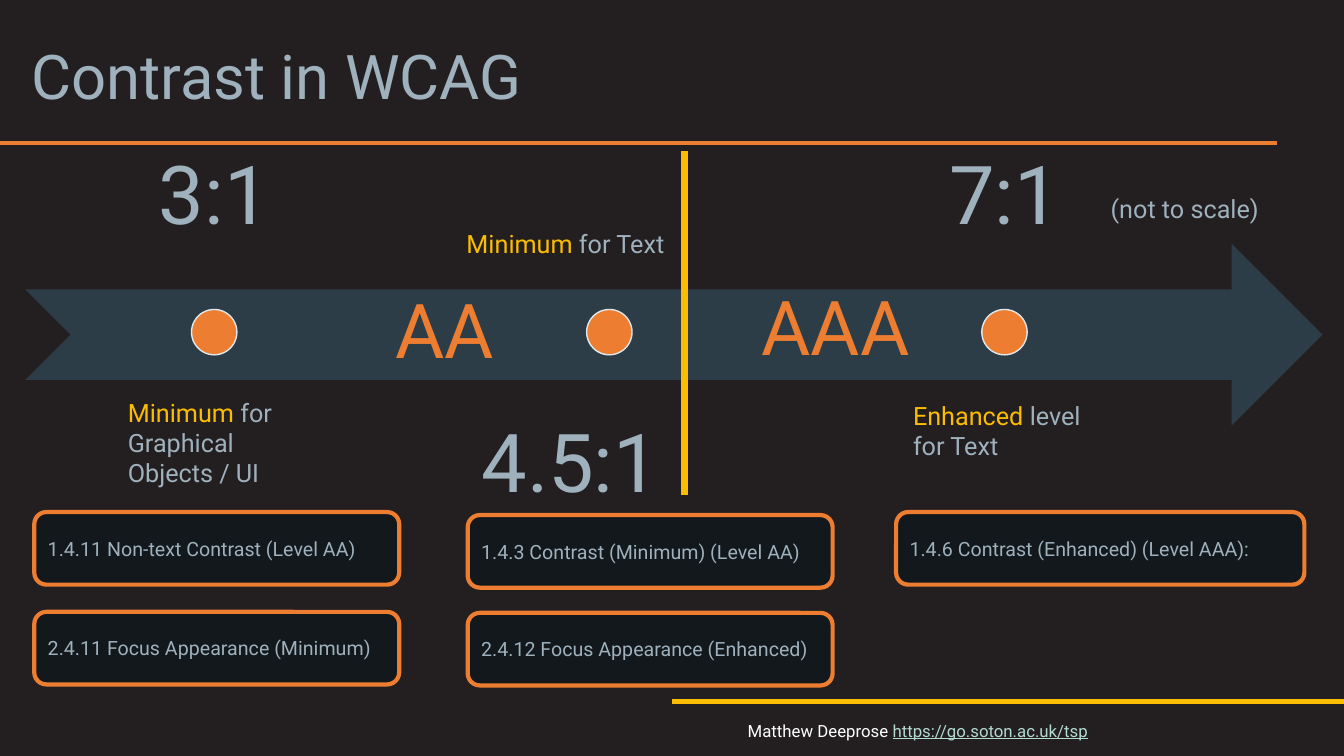
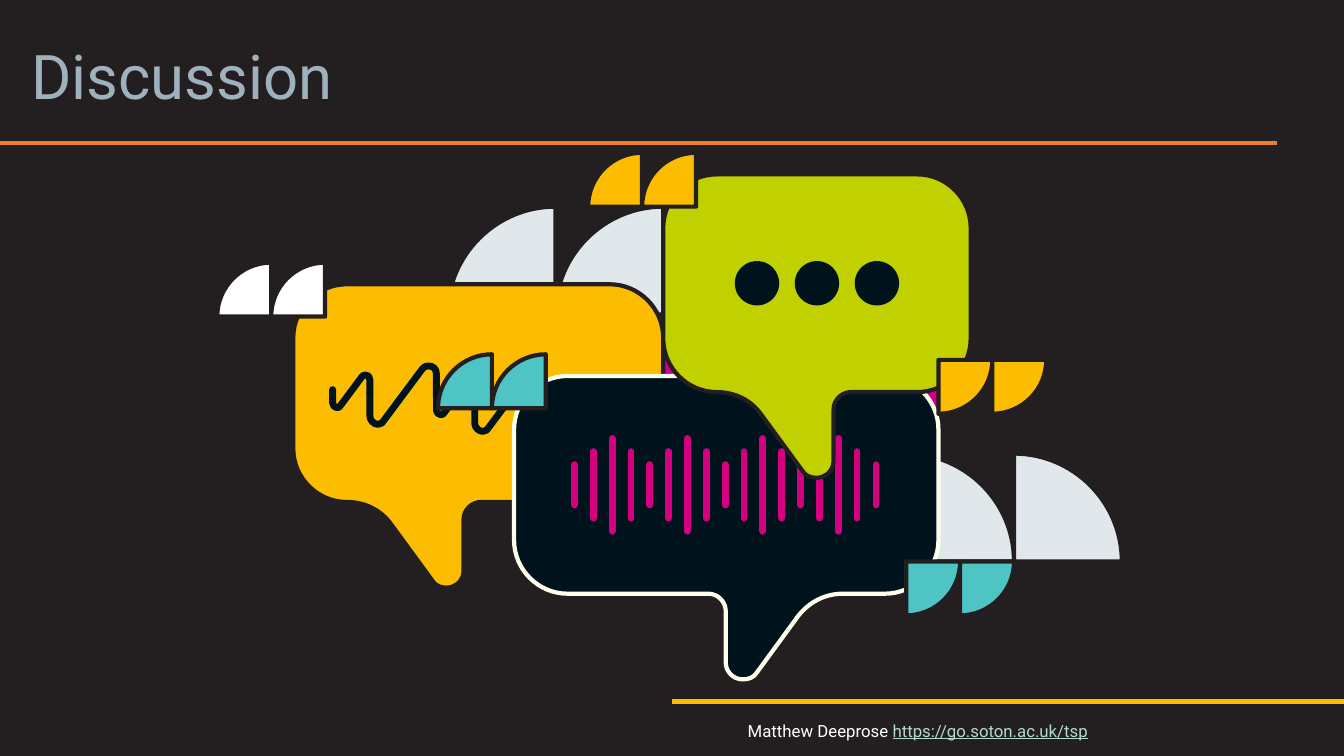
"""Build two dark slides on contrast levels and discussion."""
from itertools import cycle

from pptx import Presentation
from pptx.dml.color import RGBColor
from pptx.enum.shapes import MSO_CONNECTOR, MSO_SHAPE
from pptx.enum.text import MSO_ANCHOR, PP_ALIGN
from pptx.oxml.ns import qn
from pptx.util import Inches, Pt

STRAIGHT = MSO_CONNECTOR.STRAIGHT
OVAL, RECTANGLE = MSO_SHAPE.OVAL, MSO_SHAPE.RECTANGLE
CARD, ARROW = MSO_SHAPE.ROUNDED_RECTANGLE, MSO_SHAPE.NOTCHED_RIGHT_ARROW
TOP, MIDDLE, BOTTOM = MSO_ANCHOR.TOP, MSO_ANCHOR.MIDDLE, MSO_ANCHOR.BOTTOM
LEFT, CENTER, RIGHT = PP_ALIGN.LEFT, PP_ALIGN.CENTER, PP_ALIGN.RIGHT

FONT = "Roboto"
COLORS = {
    "background": "231F20", "orange": "ED7D31", "amber": "FCBC00",
    "mist": "9FB1BD", "slate": "2D3D47", "card": "12181C", "pale": "E1E8EC",
    "white": "FFFFFF", "link": "B3DBD2", "navy": "00131D", "ivory": "FFFFEE",
    "magenta": "D5007F", "lime": "C1D100", "teal": "4FC4C5", "indigo": "191F5A",
}

FOOTER = [("Matthew Deeprose ", "white"), ("https://go.soton.ac.uk/tsp", "link")]

RATIOS = [
    ("3:1", (0.26, 1.05, 3.73, 1.8), CENTER, BOTTOM),
    ("4.5:1", (3.9, 3.74, 3.09, 1.8), RIGHT, TOP),
    ("7:1", (8.1, 1.05, 3.73, 1.8), CENTER, BOTTOM),
]
LEVELS = [("AA", (3.81, 2.76, 1.21, 1.01)), ("AAA", (7.43, 2.73, 1.72, 1.01))]
CAPTIONS = [
    ("Minimum ", "for Graphical Objects / UI", (1.17, 3.89, 1.96, 1.01)),
    ("Minimum ", "for Text", (4.53, 2.22, 2.27, 0.4)),
    ("Enhanced ", "level for Text", (8.96, 3.92, 1.96, 0.71)),
    ("", "(not to scale)", (10.92, 1.87, 1.96, 0.4)),
]
CRITERIA = [
    ("1.4.11 Non-text Contrast (Level AA)", 0.34, 5.08, 3.62),
    ("1.4.3 Contrast (Minimum) (Level AA)", 4.64, 5.11, 3.62),
    ("1.4.6 Contrast (Enhanced) (Level AAA):", 8.89, 5.08, 4.05),
    ("2.4.11 Focus Appearance (Minimum)", 0.34, 6.07, 3.62),
    ("2.4.12 Focus Appearance (Enhanced)", 4.64, 6.08, 3.62),
]

QUOTE_RADIUS = 1.07
RIGHT_QUOTES = [(8.99, 5.57, 1, -1, "pale")]
LEFT_QUOTES = [(5.51, 3.12, -1, -1, "pale")]
SMALL_QUOTES = [
    (8.99, 5.57, 1, 1, "teal"), (9.31, 3.57, 1, 1, "amber"),
    (6.37, 2.05, -1, -1, "amber"), (2.69, 3.14, -1, -1, "white"),
]
FRONT_QUOTES = [(4.88, 4.05, -1, -1, "teal")]
PATCHES = [(6.58, 2.05, 0.88, 1.07), (5.51, 3.12, 1.07, 1.07)]
PETAL = [(1, 0), (0, 0), (0, 1), (0.55, 1, 1, 0.55, 1, 0)]
WAVE = [
    (0.66, 0.31), (0.66, 0.08), (0.66, 0.03, 0.63, 0, 0.58, 0),
    (0.56, 0, 0.53, 0.01, 0.52, 0.03), (0.14, 0.54),
    (0.13, 0.56, 0.11, 0.58, 0.08, 0.58), (0.04, 0.58, 0, 0.54, 0, 0.5),
    (0, 0.26),
]
WAVES = [
    (3.67, 3.63, 1, "navy"), (4.33, 3.79, 0.56, "navy"),
    (3.3, 3.72, 0.56, "navy"), (4.71, 3.7, 1, "navy"),
    (5.37, 3.86, 0.56, "indigo"),
]
BAR_HALVES = [0.2, 0.33, 0.46, 0.33]


def color(name):
    return RGBColor.from_string(COLORS[name])


def write(frame, spans, size=18, align=LEFT, anchor=TOP, margin=None,
          wrap=True, spacing=None):
    frame.word_wrap = wrap
    frame.vertical_anchor = anchor
    if margin is not None:
        frame.margin_left = frame.margin_right = Inches(margin)
        frame.margin_top = frame.margin_bottom = Inches(margin)
    para = frame.paragraphs[0]
    para.alignment = align
    if spacing:
        para.line_spacing = spacing
    for text, tone in spans:
        if not text:
            continue
        span = para.add_run()
        span.text = text
        span.font.name = FONT
        span.font.size = Pt(size)
        span.font.color.rgb = color(tone)
        if tone == "link":
            span.font.underline = True


def add_text(slide, place, spans, **style):
    box = slide.shapes.add_textbox(*map(Inches, place))
    write(box.text_frame, spans, **style)


def paint(shape, fill=None, line=None, width=1):
    shape.shadow.inherit = False
    if fill:
        shape.fill.solid()
        shape.fill.fore_color.rgb = color(fill)
    else:
        shape.fill.background()
    if line:
        shape.line.color.rgb = color(line)
        shape.line.width = Pt(width)
    else:
        shape.line.fill.background()
    return shape


def add_shape(shapes, kind, place, **look):
    return paint(shapes.add_shape(kind, *map(Inches, place)), **look)


def round_caps(shape):
    shape.element.spPr.find(qn("a:ln")).set("cap", "rnd")


def add_line(shapes, start, end, tone, width):
    line = shapes.add_connector(STRAIGHT, *map(Inches, start + end))
    line.line.color.rgb = color(tone)
    line.line.width = Pt(width)
    effects = line.element.spPr.makeelement(qn("a:effectLst"), {})
    line.element.spPr.append(effects)
    return line


def add_outline(shapes, steps, place, closed=True, **look):
    """Trace points and cubic curves, each mapped to the slide by place."""
    spots = [tuple(map(Inches, place(*step[-2:]))) for step in steps]
    builder = shapes.build_freeform(*spots[0])
    builder.add_line_segments(spots[1:], close=closed)
    shape = builder.convert_to_shape()
    left, top = (min(values) for values in zip(*spots))
    segments = list(shape.element.iter(qn("a:lnTo")))
    for step, segment in zip(steps[1:], segments):
        if len(step) == 2:
            continue
        curve = segment.makeelement(qn("a:cubicBezTo"), {})
        for x, y in (step[:2], step[2:4], step[4:]):
            across, down = map(Inches, place(x, y))
            curve.append(curve.makeelement(
                qn("a:pt"), {"x": str(across - left), "y": str(down - top)}))
        segment.getparent().replace(segment, curve)
    return paint(shape, **look)


def add_bubble(shapes, left, top, width, fill, line, mirrored=False):
    steps = [
        (width - 0.53, 0), (0.53, 0), (0.24, 0, 0, 0.24, 0, 0.53), (0, 1.63),
        (0, 1.92, 0.24, 2.16, 0.53, 2.16), (0.71, 2.16, 0.87, 2.24, 0.97, 2.38),
        (1.38, 2.94), (1.41, 2.99, 1.46, 3.01, 1.52, 3.01),
        (1.61, 3.01, 1.69, 2.94, 1.69, 2.84), (1.69, 2.33),
        (1.69, 2.24, 1.77, 2.16, 1.86, 2.16), (width - 0.53, 2.16),
        (width - 0.24, 2.16, width, 1.92, width, 1.63), (width, 0.53),
        (width, 0.24, width - 0.24, 0, width - 0.53, 0),
    ]
    if mirrored:
        tail = [tuple(value + 0.42 * (spot % 2 == 0) for spot, value in enumerate(step))
                for step in steps[5:11]]
        steps[5:11] = [(0.95, 2.16)] + tail
        steps[6] = (1.12, 2.16, 1.28, 2.24, 1.39, 2.38)

    def place(x, y):
        return left + (width - x if mirrored else x), top + y

    add_outline(shapes, steps, place, fill=fill, line=line, width=3)


def add_quotes(shapes, quotes, radius):
    for left, top, across, down, tone in quotes:
        for corner in (left, left + radius):
            def place(x, y):
                return corner + across * radius * x, top + down * radius * y

            add_outline(shapes, PETAL, place, fill=tone, line="background", width=3)


def prepare_layout(deck):
    layout = deck.slide_layouts.get_by_name("Title Only")
    layout.background.fill.solid()
    layout.background.fill.fore_color.rgb = color("background")
    title, *extras = layout.placeholders
    title.left, title.top, title.width, title.height = map(
        Inches, (0.21, 0.16, 12.87, 1.26))
    for extra in extras:
        layout.shapes.element.remove(extra.element)
    return layout


def add_rules(slide):
    """Draw the two shared rules and move them to the layout."""
    for start, end, tone in [((0, 1.42), (12.67, 1.42), "orange"),
                             ((6.67, 6.96), (13.33, 6.96), "amber")]:
        rule = add_line(slide.shapes, start, end, tone, 3)
        slide.slide_layout.shapes.element.append(rule.element)


def add_slide(deck, layout, title):
    slide = deck.slides.add_slide(layout)
    write(slide.shapes.title.text_frame, [(title, "mist")], size=44,
          anchor=MIDDLE, spacing=0.9)
    add_text(slide, (7.32, 7.04, 4.7, 0.41), FOOTER, size=12, anchor=MIDDLE)
    return slide


def build_contrast(slide):
    shapes = slide.shapes
    add_shape(shapes, ARROW, (0.25, 2.42, 12.87, 1.8), fill="slate")
    for index, (text, (left, top, width, height), align, anchor) in enumerate(RATIOS):
        def place(x, y):
            return left + width * x, top + height * y

        ratio = add_outline(shapes, [(0, 0), (1, 0), (1, 1), (0, 1)], place)
        write(ratio.text_frame, [(text, "mist")], size=58, align=align,
              anchor=anchor, margin=0.45, spacing=0.9)
        add_shape(shapes, OVAL, (1.9 + 3.92 * index, 3.07, 0.45, 0.45),
                  fill="orange", line="pale")
    for text, place in LEVELS:
        add_text(slide, place, [(text, "orange")], size=54, align=CENTER, wrap=False)
    for accent, text, place in CAPTIONS:
        add_text(slide, place, [(accent, "amber"), (text, "mist")])
    add_line(shapes, (6.79, 1.5), (6.79, 4.91), "amber", 4.75)
    for text, left, top, width in CRITERIA:
        card = add_shape(shapes, CARD, (left, top, width, 0.72),
                         fill="card", line="orange", width=3)
        write(card.text_frame, [(text, "mist")], size=14, anchor=MIDDLE)


def build_discussion(slide):
    shapes = slide.shapes.add_group_shape().shapes
    add_quotes(shapes, RIGHT_QUOTES, QUOTE_RADIUS)
    for patch in PATCHES:
        add_shape(shapes, RECTANGLE, patch, fill="indigo")
    add_quotes(shapes, LEFT_QUOTES, QUOTE_RADIUS)
    add_shape(shapes, RECTANGLE, (6.58, 3.2, 0.62, 0.75), fill="magenta")
    add_bubble(shapes, 2.91, 2.82, 3.67, "amber", "background")
    add_shape(shapes, RECTANGLE, (8.77, 3.57, 0.54, 0.53), fill="magenta")
    for left, top, scale, tone in WAVES:
        def place(x, y):
            return left + scale * x, top + scale * y

        round_caps(add_outline(shapes, WAVE, place, closed=False,
                               line=tone, width=4.88))
    add_bubble(shapes, 5.1, 3.73, 4.21, "navy", "ivory", mirrored=True)
    for index, half in zip(range(17), cycle(BAR_HALVES)):
        x = 5.7 + 2.99 / 16 * index
        round_caps(add_line(shapes, (x, 4.81 - half), (x, 4.81 + half),
                            "magenta", 4.88))
    add_bubble(shapes, 6.58, 1.73, 3.05, "lime", "background")
    add_quotes(shapes, SMALL_QUOTES, QUOTE_RADIUS / 2)
    for index in range(3):
        add_shape(shapes, OVAL, (7.29 + 1.19 / 2 * index, 2.59, 0.44, 0.44), fill="navy")
    add_quotes(shapes, FRONT_QUOTES, QUOTE_RADIUS / 2)


def main():
    deck = Presentation()
    deck.slide_width, deck.slide_height = Inches(40 / 3), Inches(7.5)
    layout = prepare_layout(deck)
    contrast = add_slide(deck, layout, "Contrast in WCAG")
    add_rules(contrast)
    build_contrast(contrast)
    build_discussion(add_slide(deck, layout, "Discussion"))
    deck.save("out.pptx")


if __name__ == "__main__":
    main()
